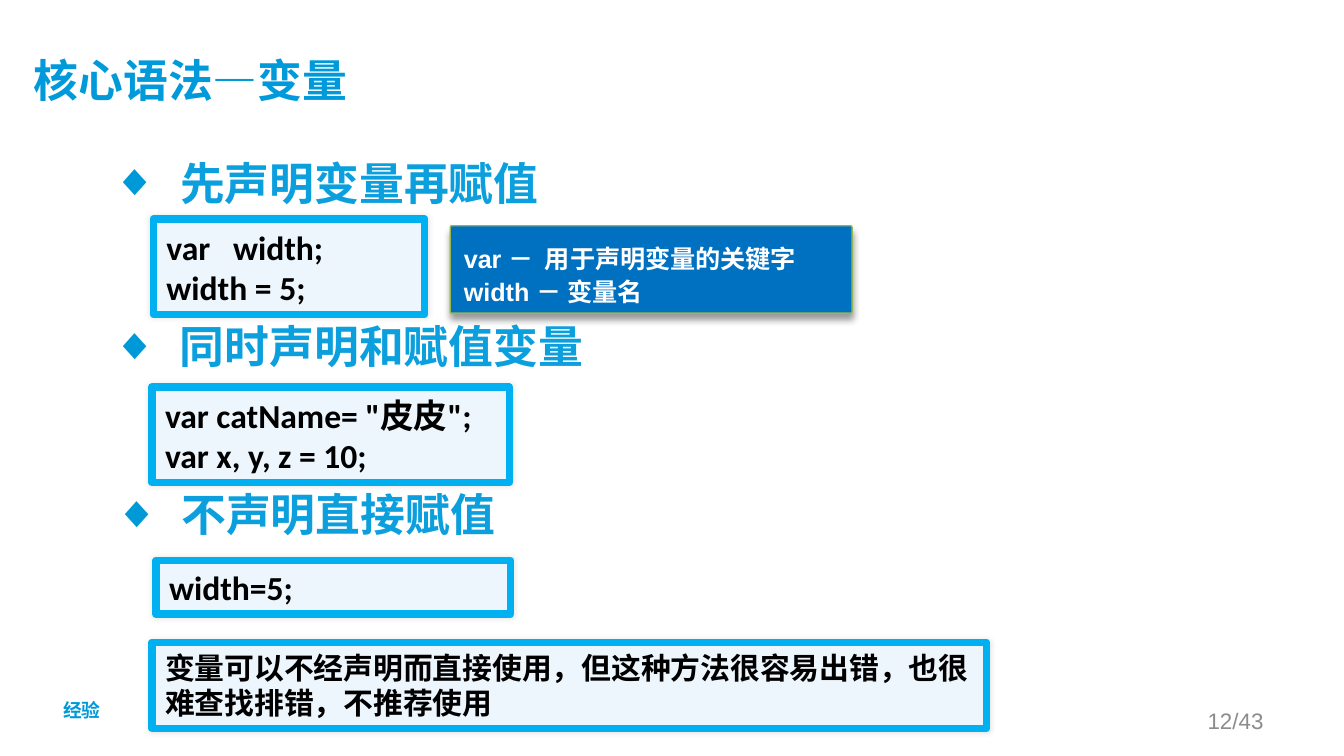
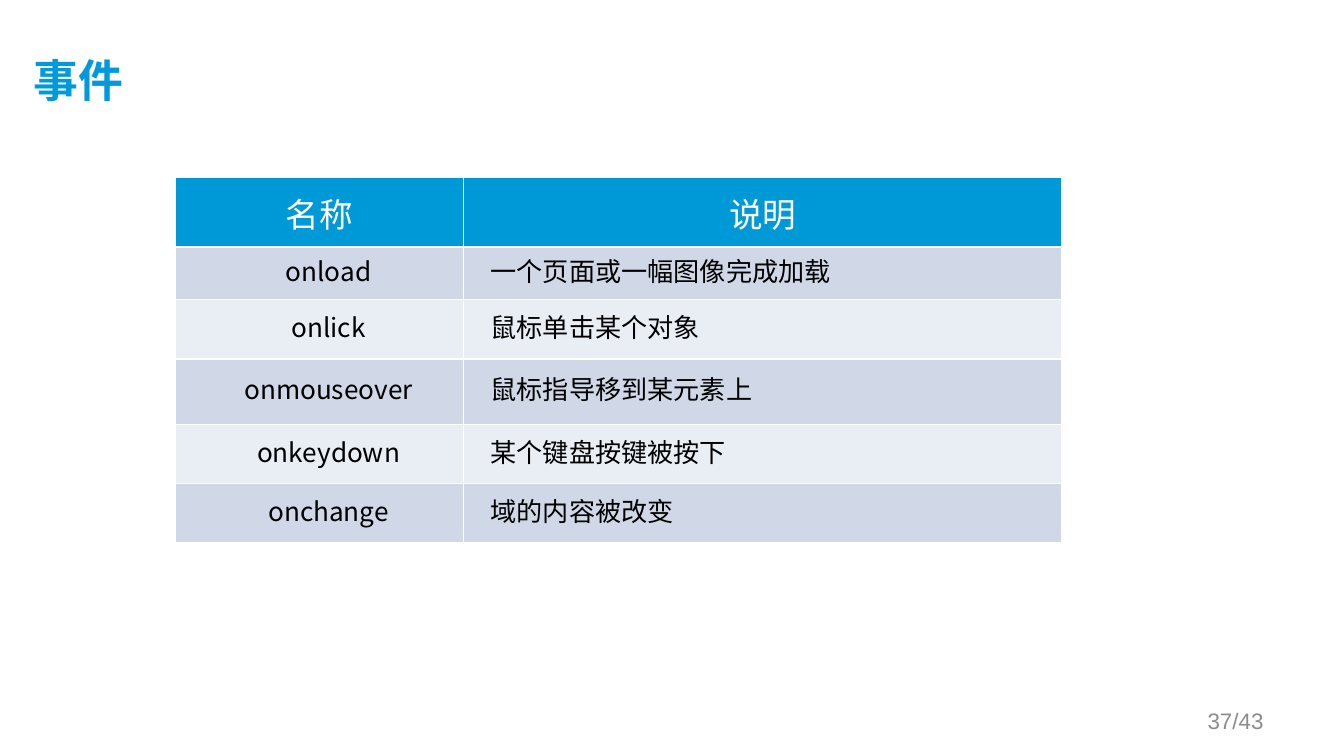
from lxml import etree
from pptx import Presentation
from pptx import util as u
from pptx.dml import color
from pptx.enum import shapes, text
from pptx.oxml import ns

CJK = "Noto Sans CJK SC"
BLUE = "0099D8"
LEFT, CENTER, RIGHT = text.PP_ALIGN.LEFT, text.PP_ALIGN.CENTER, text.PP_ALIGN.RIGHT
MIDDLE = text.MSO_ANCHOR.MIDDLE

TITLE = {"size": 24, "name": CJK, "color": "009ADA", "bold": True}
HEADING = {"size": 24, "name": CJK, "color": "0B9FDD", "bold": True}
CODE = {"size": 18, "name": "Calibri", "color": "000000", "bold": True}
NOTE = {"size": 16, "name": CJK, "color": "000000", "bold": True}
CALLOUT = {"size": 13.5, "name": "Arial", "color": "FFFFFF", "bold": True}
TAG = {"size": 10, "name": "Arial", "color": BLUE, "bold": True}
PAGE_NUMBER = {"size": 12, "name": "Arial", "color": "8C8C8C", "bold": False}
TABLE_HEAD = {"size": 18, "name": "Calibri", "color": "FFFFFF", "bold": False}
TABLE_BODY = {"size": 14, "name": CJK, "color": "000000", "bold": False}

PANEL = {"fill": "EDF5FD", "line": "00B0F0", "weight": 4, "radius": 0, "shadow": (10, 3, 0)}
BADGE = {"fill": "0070C0", "line": "95B74F", "weight": 0.75, "radius": 0.018, "shadow": (40, 4, 3)}

HEADINGS = [
    ("先声明变量再赋值", (0.74, 1.11, 8.49, 3.71)),
    ("同时声明和赋值变量", (0.74, 2.33, 3.95, 0.4)),
    ("不声明直接赋值", (0.75, 3.58, 3.22, 0.53)),
]
CODE_PANELS = [
    (["var   width;", "width = 5;"], (1.14, 1.63, 2.02, 0.71)),
    (['var catName= "皮皮";', "var x, y, z = 10;"], (1.13, 2.88, 2.66, 0.71)),
    (["width=5;"], (1.16, 4.17, 2.64, 0.4)),
]
EVENTS = [
    ("名称", "说明"),
    ("onload", "一个页面或一幅图像完成加载"),
    ("onlick", "鼠标单击某个对象"),
    ("onmouseover", "鼠标指导移到某元素上"),
    ("onkeydown", "某个键盘按键被按下"),
    ("onchange", "域的内容被改变"),
]
COLUMN_WIDTHS = [2.15, 4.45]
ROW_HEIGHTS = [0.52, 0.39, 0.44, 0.49, 0.44, 0.44]


def rgb(value):
    return color.RGBColor.from_string(value)


def add_xml(parent, tag, **values):
    element = etree.SubElement(parent, ns.qn(tag))
    for key, value in values.items():
        element.set(key, str(value))
    return element


def set_all(target, values):
    for key, value in values.items():
        setattr(target, key, value)


def place(shape, bounds):
    for key, value in zip(("left", "top", "width", "height"), bounds):
        setattr(shape, key, u.Inches(value))


def write(frame, lines, look, spacing=None, gap=0, align=LEFT):
    for index, line in enumerate(lines):
        para = frame.add_paragraph() if index else frame.paragraphs[0]
        set_all(para, {
            "alignment": align,
            "space_before": u.Pt(gap if index else 0),
            "line_spacing": u.Pt(spacing) if spacing else 1.0,
        })
        span = para.add_run()
        span.text = line
        set_all(span.font, {"size": u.Pt(look["size"]), "name": look["name"], "bold": look["bold"]})
        span.font.color.rgb = rgb(look["color"])
        add_xml(span.font._element, "a:ea", typeface=CJK)


def indent(para, margin, first):
    properties = para._p.get_or_add_pPr()
    properties.set("marL", str(u.Inches(margin)))
    properties.set("indent", str(u.Inches(first)))
    return properties


def add_text(page, bounds, lines, look, spacing=None, align=LEFT, anchor=text.MSO_ANCHOR.TOP):
    box = page.shapes.add_textbox(*map(u.Inches, bounds))
    set_all(box.text_frame, {"word_wrap": True, "vertical_anchor": anchor})
    write(box.text_frame, lines, look, spacing, align=align)
    return box


def add_bullet(para):
    properties = indent(para, 0.5, -0.5)
    add_xml(add_xml(properties, "a:buClr"), "a:srgbClr", val=BLUE)
    add_xml(properties, "a:buFont", typeface="Arial")
    add_xml(properties, "a:buChar", char="◆")


def add_headings(page):
    for index, (words, bounds) in enumerate(HEADINGS):
        if index:
            box = add_text(page, bounds, [words], HEADING, 28.5)
        else:
            box = page.placeholders[1]
            place(box, bounds)
            box.text_frame.auto_size = text.MSO_AUTO_SIZE.NONE
            write(box.text_frame, [words], HEADING, 28.5)
        add_bullet(box.text_frame.paragraphs[0])


def add_panel(page, bounds, lines, look, style, spacing, gap=0, anchor=MIDDLE):
    box = page.shapes.add_shape(shapes.MSO_SHAPE.ROUNDED_RECTANGLE, *map(u.Inches, bounds))
    box.adjustments[0] = style["radius"]
    box.fill.solid()
    box.fill.fore_color.rgb = rgb(style["fill"])
    box.line.color.rgb = rgb(style["line"])
    box.line.width = u.Pt(style["weight"])
    box.shadow.inherit = False
    opacity, blur, distance = style["shadow"]
    effects = box._element.spPr.find(ns.qn("a:effectLst"))
    shadow = add_xml(effects, "a:outerShdw", blurRad=u.Pt(blur), dist=u.Pt(distance),
                     dir=5400000, rotWithShape=0)
    add_xml(add_xml(shadow, "a:srgbClr", val="000000"), "a:alpha", val=opacity * 1000)
    set_all(box.text_frame, {"word_wrap": True, "vertical_anchor": anchor})
    write(box.text_frame, lines, look, spacing, gap)


def add_page(deck, layout, title, number):
    page = deck.slides.add_slide(deck.slide_layouts[layout])
    heading = page.shapes.title
    place(heading, (0.25, 0.23, 9.01, 0.77))
    set_all(heading.text_frame, {
        "margin_left": 0, "margin_top": 0, "margin_right": u.Inches(0.1),
        "margin_bottom": u.Inches(0.05), "vertical_anchor": MIDDLE,
        "auto_size": text.MSO_AUTO_SIZE.NONE,
    })
    write(heading.text_frame, [title], TITLE)
    add_text(page, (7.17, 5.21, 2.33, 0.3), [number], PAGE_NUMBER, align=RIGHT, anchor=MIDDLE)
    return page


def add_borders(cell):
    properties = cell._tc.get_or_add_tcPr()
    for side in "LRTB":
        line = add_xml(properties, f"a:ln{side}", w=u.Pt(1))
        add_xml(add_xml(line, "a:solidFill"), "a:srgbClr", val="FFFFFF")


def format_cell(cell, words, row, column):
    head = row == 0
    side, edge = (0.07, 0.04) if head else (0.06, 0)
    set_all(cell, {
        "margin_left": u.Inches(side), "margin_right": u.Inches(side),
        "margin_top": u.Inches(edge), "margin_bottom": u.Inches(edge),
        "vertical_anchor": MIDDLE,
    })
    add_borders(cell)
    cell.fill.solid()
    cell.fill.fore_color.rgb = rgb(BLUE if head else ("E9EDF4", "D0D8E8")[row % 2])
    align = CENTER if head or column == 0 else LEFT
    write(cell.text_frame, [words], TABLE_HEAD if head else TABLE_BODY,
          None if head else 17, align=align)
    if not head:
        indent(cell.text_frame.paragraphs[0], 0, 0.14)


def add_event_table(page):
    bounds = (1.3, 1.32, sum(COLUMN_WIDTHS), sum(ROW_HEIGHTS))
    table = page.shapes.add_table(len(EVENTS), 2, *map(u.Inches, bounds)).table
    for column, width in zip(table.columns, COLUMN_WIDTHS):
        column.width = u.Inches(width)
    for row, height in zip(table.rows, ROW_HEIGHTS):
        row.height = u.Inches(height)
    for row, entries in enumerate(EVENTS):
        for column, words in enumerate(entries):
            format_cell(table.cell(row, column), words, row, column)


def build_variables(deck):
    page = add_page(deck, 1, "核心语法—变量", "12/43")
    add_headings(page)
    add_panel(page, (3.35, 1.68, 2.99, 0.65),
              ["var －  用于声明变量的关键字", "width － 变量名"],
              CALLOUT, BADGE, 14.5, 2.7, text.MSO_ANCHOR.BOTTOM)
    for lines, bounds in CODE_PANELS:
        add_panel(page, bounds, lines, CODE, PANEL, 21.5)
    add_text(page, (0.37, 5.15, 0.48, 0.27), ["经验"], TAG, 12, CENTER)
    add_panel(page, (1.13, 4.78, 6.21, 0.64),
              ["变量可以不经声明而直接使用，但这种方法很容易出错，也很难查找排错，不推荐使用"],
              NOTE, PANEL, 19)


def build_events(deck):
    page = add_page(deck, 5, "事件", "37/43")
    add_event_table(page)


def main():
    deck = Presentation()
    set_all(deck, {"slide_width": u.Inches(10), "slide_height": u.Inches(10 * 9 / 16)})
    build_variables(deck)
    build_events(deck)
    deck.save("out.pptx")


if __name__ == "__main__":
    main()
